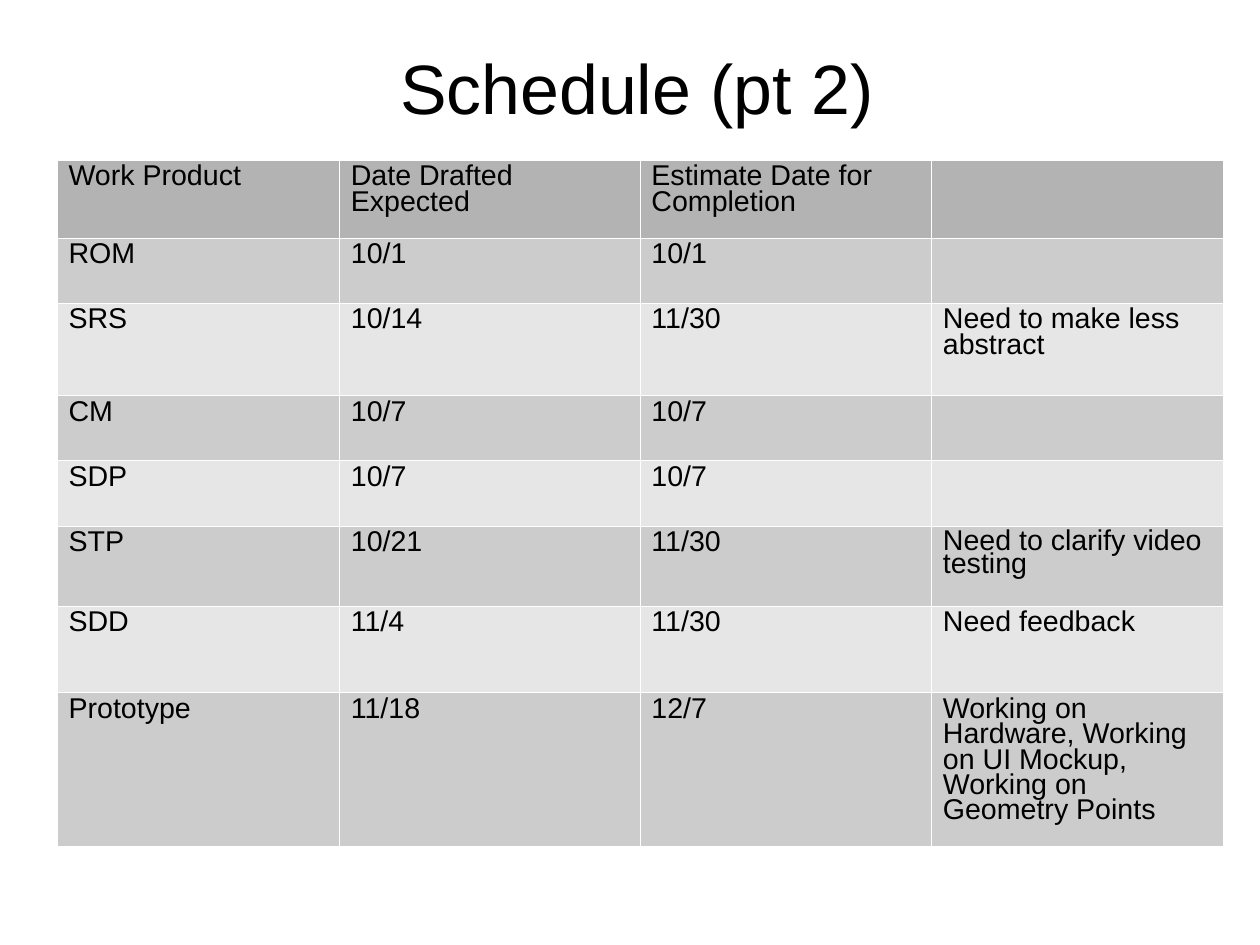
from lxml import etree
from pptx import Presentation
from pptx.dml.color import RGBColor
from pptx.enum.text import PP_ALIGN
from pptx.oxml.ns import qn
from pptx.util import Cm, Inches, Pt

CENTER = PP_ALIGN.CENTER
FONT = "Arial"
COLORS = {"text": "000000", "head": "B3B3B3", "odd": "CCCCCC",
          "even": "E6E6E6", "line": "FFFFFF"}
COLS = [2.47, 2.63, 2.55, 2.55]
ROWS = [0.68, 0.57, 0.81, 0.57, 0.57, 0.7, 0.76, 1.34]
PLAN = [
    ["Work Product", "Date Drafted Expected", "Estimate Date for Completion", ""],
    ["ROM", "10/1", "10/1", ""],
    ["SRS", "10/14", "11/30", "Need to make less abstract"],
    ["CM", "10/7", "10/7", ""],
    ["SDP", "10/7", "10/7", ""],
    ["STP", "10/21", "11/30", "Need to clarify video testing"],
    ["SDD", "11/4", "11/30", "Need feedback"],
    ["Prototype", "11/18", "12/7",
     "Working on Hardware, Working on UI Mockup, Working on Geometry Points"],
]
TIGHT = (5, 3)  # the one cell with closer lines


def write(frame, text, size, gap):
    frame.text = text
    par = frame.paragraphs[0]
    par.line_spacing = gap
    par.font.size = Pt(size)
    for run in par.runs:
        run.font.name = FONT
        run.font.size = Pt(size)
        run.font.color.rgb = RGBColor.from_string(COLORS["text"])
    return par


def edge(cell):
    props = cell._tc.get_or_add_tcPr()
    for spot, side in enumerate(("a:lnL", "a:lnR", "a:lnT", "a:lnB")):
        line = etree.Element(qn(side), w=str(Pt(0.06)))
        fill = etree.SubElement(line, qn("a:solidFill"))
        etree.SubElement(fill, qn("a:srgbClr"), val=COLORS["line"])
        props.insert(spot, line)


deck = Presentation()
deck.slide_width, deck.slide_height = Cm(28), Cm(21)
slide = deck.slides.add_slide(deck.slide_layouts[6])

# Schedule table
frame = slide.shapes.add_table(
    len(ROWS), len(COLS), Inches(0.5), Inches(1.4),
    Inches(sum(COLS)), Inches(sum(ROWS)))
grid = frame.table
grid.first_row = grid.horz_banding = False
for col, width in zip(grid.columns, COLS):
    col.width = Inches(width)
for r, (row, height) in enumerate(zip(grid.rows, ROWS)):
    row.height = Inches(height)
    shade = "head" if r == 0 else "odd" if r % 2 else "even"
    for c, cell in enumerate(row.cells):
        write(cell.text_frame, PLAN[r][c], 18, 0.74 if (r, c) == TIGHT else 0.79)
        cell.fill.solid()
        cell.fill.fore_color.rgb = RGBColor.from_string(COLORS[shade])
        edge(cell)
frame.height = Inches(6.38)

# Title
title = slide.shapes.add_textbox(
    Inches(3.3), Inches(0.4), Inches(4.55), Inches(0.83)).text_frame
title.word_wrap = True
write(title, "Schedule (pt 2)", 44, 0.94).alignment = CENTER

deck.save("out.pptx")
